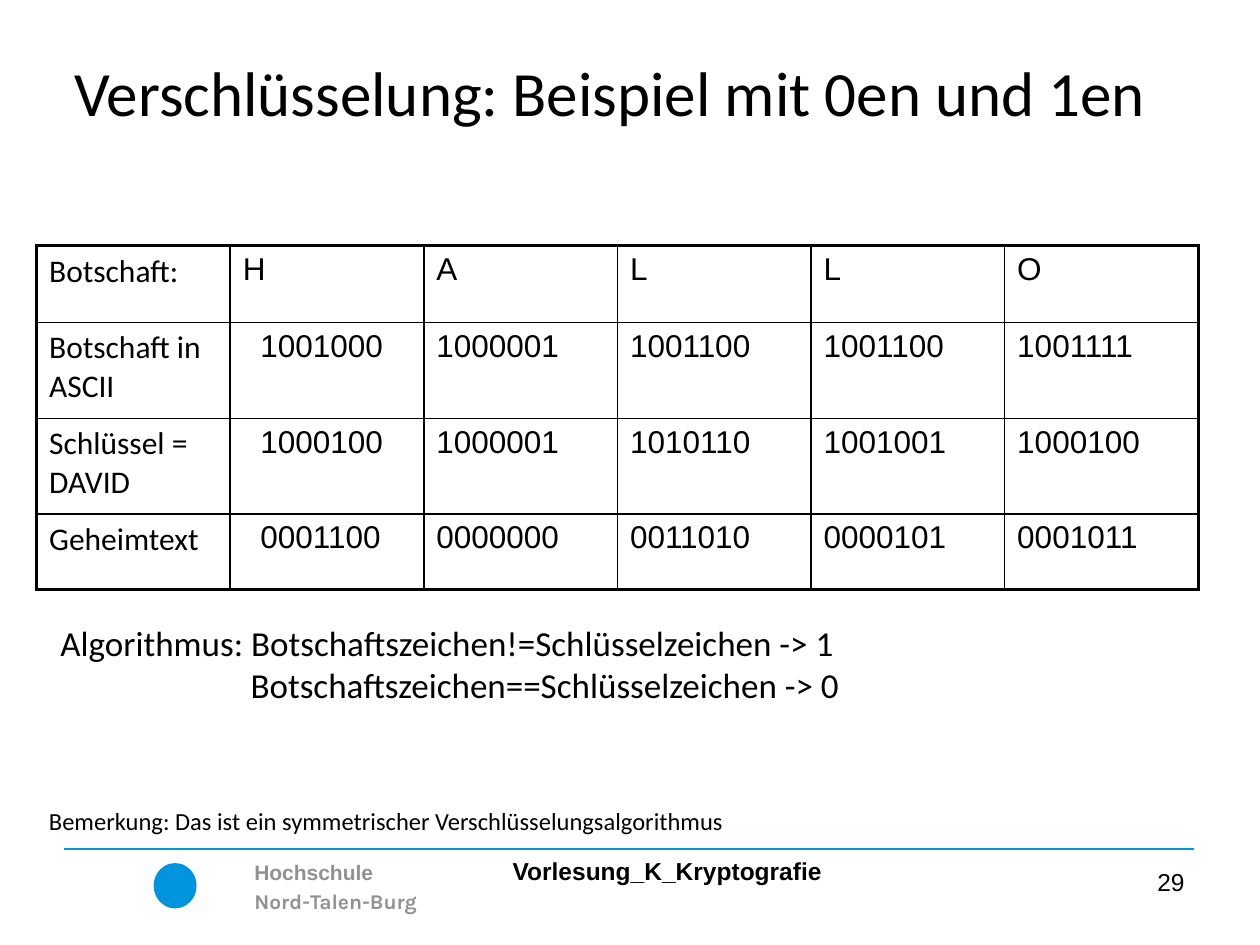
from dataclasses import dataclass

from lxml import etree
from pptx import Presentation
from pptx import util as u
from pptx.dml.color import RGBColor
from pptx.enum import shapes, text
from pptx.oxml import ns

BLACK = RGBColor(0, 0, 0)
WHITE = RGBColor(0xFF, 0xFF, 0xFF)
BLUE = RGBColor(0x00, 0x94, 0xDD)
GREY = RGBColor(0x91, 0x91, 0x91)

THIN, THICK = 1, 2.25
COL = 1.537
INDENT = 0.14  # extra indent of the first column of bits
HEIGHTS = (0.61, 0.76, 0.76, 0.6)
ROWS = (
    ("Botschaft:", "H", "A", "L", "L", "O"),
    ("Botschaft in ASCII", "1001000", "1000001", "1001100", "1001100", "1001111"),
    ("Schlüssel = DAVID", "1000100", "1000001", "1010110", "1001001", "1000100"),
    ("Geheimtext", "0001100", "0000000", "0011010", "0000101", "0001011"),
)


@dataclass
class Label:
    lines: tuple
    box: tuple
    size: float
    fonts: tuple
    color: RGBColor = BLACK
    bold: bool = False
    space: float = 1.0
    align: text.PP_ALIGN = text.PP_ALIGN.LEFT
    indent: float = 0  # left indent of the second line


LABELS = (
    Label(("Hochschule", "Nord-Talen-Burg"), (1.92, 6.74, 2.53, 0.56), 12,
          ("Arial", "Karla"), GREY, True, 1.15),
    Label(("Vorlesung_K_Kryptografie",), (3.97, 6.71, 2.86, 0.37), 14,
          ("Arial",), bold=True, space=1.15),
    Label(("29",), (7.17, 6.83, 2.33, 0.52), 14, ("Arial",),
          align=text.PP_ALIGN.RIGHT),
    Label(("Algorithmus: Botschaftszeichen!=Schlüsselzeichen -> 1",
           "Botschaftszeichen==Schlüsselzeichen -> 0"),
          (0.38, 4.88, 6.51, 0.77), 20, ("Calibri",) * 2, indent=1.51),
    Label(("Bemerkung: Das ist ein symmetrischer Verschlüsselungsalgorithmus",),
          (0.29, 6.35, 5.61, 0.34), 14, ("Calibri",)),
)


def inches(box: tuple) -> list:
    return [u.Inches(n) for n in box]


def style(run, size: float, face: str, color: RGBColor = BLACK,
          bold: bool = False) -> None:
    run.font.size = u.Pt(size)
    run.font.name = face
    run.font.bold = bold
    run.font.color.rgb = color


def add_label(slide, label: Label) -> None:
    frame = slide.shapes.add_textbox(*inches(label.box)).text_frame
    frame.word_wrap = True
    frame.text = "\n".join(label.lines)
    for i, (para, face) in enumerate(zip(frame.paragraphs, label.fonts)):
        para.alignment = label.align
        para.line_spacing = label.space
        if i and label.indent:
            para._p.get_or_add_pPr().set("marL", str(u.Inches(label.indent)))
        style(para.runs[0], label.size, face, label.color, label.bold)


def add_title(slide) -> None:
    title = slide.shapes.title
    title.left, title.top, title.width, title.height = inches((0.49, 0.38, 9, 0.69))
    frame = title.text_frame
    frame.text = "Verschlüsselung: Beispiel mit 0en und 1en"
    frame.vertical_anchor = text.MSO_ANCHOR.MIDDLE
    para = frame.paragraphs[0]
    para.alignment = text.PP_ALIGN.LEFT
    style(para.runs[0], 36, "Calibri")
    # Soft text shadow, placed right after the text fill
    effect = etree.Element(ns.qn("a:effectLst"))
    shade = etree.SubElement(effect, ns.qn("a:outerShdw"), blurRad="38100",
                             dist="38100", dir="2700000", algn="tl")
    etree.SubElement(shade, ns.qn("a:srgbClr"), val="C0C0C0")
    para.runs[0].font._element.find(ns.qn("a:solidFill")).addnext(effect)


def add_edge(cell, side: str, width: float) -> None:
    line = etree.SubElement(cell._tc.get_or_add_tcPr(), ns.qn("a:ln" + side),
                            w=str(u.Pt(width)))
    fill = etree.SubElement(line, ns.qn("a:solidFill"))
    etree.SubElement(fill, ns.qn("a:srgbClr"), val=str(BLACK))


def add_grid(slide) -> None:
    count = len(ROWS[0])
    box = (0.29, 1.95, COL * count, sum(HEIGHTS))
    table = slide.shapes.add_table(len(ROWS), count, *inches(box)).table
    table.first_row = table.horz_banding = False
    for col in table.columns:
        col.width = u.Inches(COL)
    for r, (words, height) in enumerate(zip(ROWS, HEIGHTS)):
        table.rows[r].height = u.Inches(height)
        for c, word in enumerate(words):
            cell = table.cell(r, c)
            outer = {"L": c == 0, "R": c == count - 1,
                     "T": r == 0, "B": r == len(ROWS) - 1}
            for side, edge in outer.items():
                add_edge(cell, side, THICK if edge else THIN)
            cell.fill.solid()
            cell.fill.fore_color.rgb = WHITE
            cell.margin_left = u.Inches(0.1 + (INDENT if r and c == 1 else 0))
            cell.text_frame.text = word
            run = cell.text_frame.paragraphs[0].runs[0]
            style(run, 18, "Arial" if c else "Calibri")


def add_footer(slide) -> None:
    # Plain disc and rule
    disc = slide.shapes.add_shape(shapes.MSO_SHAPE.OVAL,
                                  *inches((1.22, 6.85, 0.34, 0.36)))
    disc.shadow.inherit = False
    disc.fill.solid()
    disc.fill.fore_color.rgb = BLUE
    disc.line.fill.background()
    rule = slide.shapes.add_connector(shapes.MSO_CONNECTOR.STRAIGHT,
                                      *inches((0.51, 6.74, 9.48, 6.74)))
    rule.line.color.rgb = BLUE
    rule.line.width = u.Pt(1)
    etree.SubElement(rule._element.spPr, ns.qn("a:effectLst"))


def main() -> None:
    deck = Presentation()
    deck.slide_width, deck.slide_height = u.Inches(10), u.Inches(7.5)
    slide = deck.slides.add_slide(deck.slide_layouts[5])
    add_footer(slide)
    add_title(slide)
    add_grid(slide)
    for label in LABELS:
        add_label(slide, label)
    deck.save("out.pptx")


if __name__ == "__main__":
    main()
